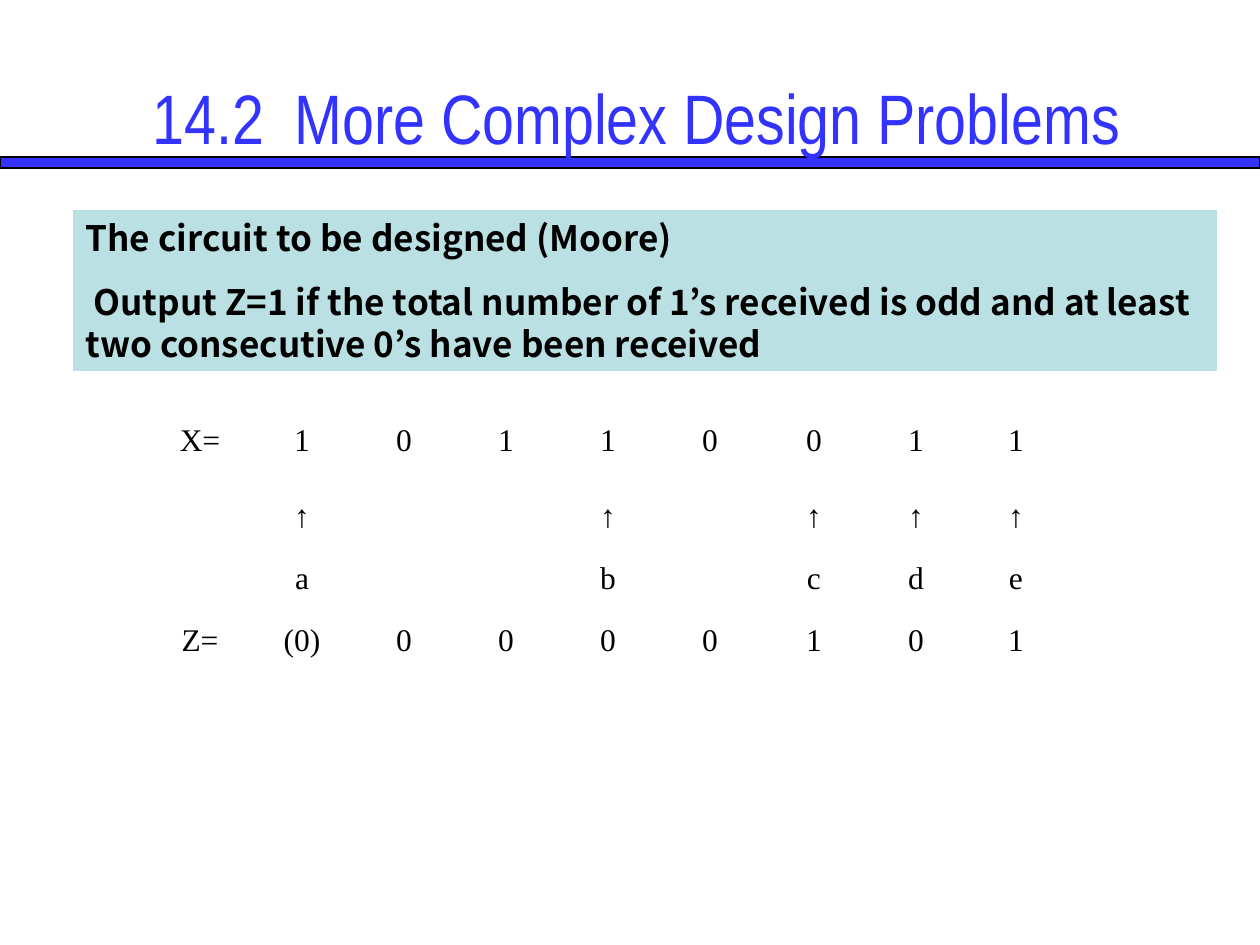
from pptx import Presentation
from pptx import util as u
from pptx.dml.color import RGBColor
from pptx.enum import shapes, text
from pptx.oxml.ns import qn
from lxml import etree

EMU_PER_PX = 914400 // 126
COLORS = {"blue": "3333FF", "black": "000000", "panel": "BBE0E3"}
ROWS = [
    (76, ["X=", "1", "0", "1", "1", "0", "0", "1", "1"]),
    (62, ["", "↑", "", "", "↑", "", "↑", "↑", "↑"]),
    (62, ["", "a", "", "", "b", "", "c", "d", "e"]),
    (64, ["Z=", "(0)", "0", "0", "0", "0", "1", "0", "1"]),
]
COLUMN_WIDTHS = [102] * 6 + [106, 98, 102]


def px(value):
    return u.Emu(value * EMU_PER_PX)


def color(name):
    return RGBColor.from_string(COLORS[name])


def add_tab_stops(paragraph):
    properties = paragraph._p.get_or_add_pPr()
    stops = etree.SubElement(properties, qn("a:tabLst"))
    for inch in range(8):
        etree.SubElement(stops, qn("a:tab"), pos=str(u.Inches(inch)), algn="l")


def add_run(paragraph, words, font, size, color_name, bold=False):
    run = paragraph.add_run()
    run.text = words
    run.font.name = font
    run.font.size = u.Pt(size)
    run.font.bold = bold
    run.font.color.rgb = color(color_name)


def add_rectangle(slide, box, fill, line=None):
    shape = slide.shapes.add_shape(shapes.MSO_SHAPE.RECTANGLE, *map(px, box))
    shape.shadow.inherit = False
    shape.fill.solid()
    shape.fill.fore_color.rgb = color(fill)
    if line:
        shape.line.color.rgb = color(line)
        shape.line.width = u.Pt(0.75)
    else:
        shape.line.fill.background()
    return shape


def add_title(slide, box, words):
    frame = slide.shapes.add_textbox(*map(px, box)).text_frame
    frame.word_wrap = True
    frame.vertical_anchor = text.MSO_ANCHOR.MIDDLE
    paragraph = frame.paragraphs[0]
    paragraph.alignment = text.PP_ALIGN.CENTER
    add_tab_stops(paragraph)
    add_run(paragraph, words, "Arial Narrow", 40, "blue")


def add_panel(slide, box, lines):
    frame = add_rectangle(slide, box, "panel").text_frame
    frame.word_wrap = True
    frame.auto_size = text.MSO_AUTO_SIZE.SHAPE_TO_FIT_TEXT
    frame.vertical_anchor = text.MSO_ANCHOR.TOP
    for index, words in enumerate(lines):
        paragraph = frame.add_paragraph() if index else frame.paragraphs[0]
        paragraph.alignment = text.PP_ALIGN.LEFT
        if index:
            paragraph.space_before = u.Pt(12.5)
        add_run(paragraph, words, "Noto Sans CJK KR", 20, "black", bold=True)


def add_sequence_table(slide, left, top):
    width, height = sum(COLUMN_WIDTHS), sum(row[0] for row in ROWS)
    table = slide.shapes.add_table(
        len(ROWS), len(COLUMN_WIDTHS), *map(px, (left, top, width, height))
    ).table
    table.first_row = False
    table.horz_banding = False
    for column, column_width in zip(table.columns, COLUMN_WIDTHS):
        column.width = px(column_width)
    for row, (row_height, entries) in zip(table.rows, ROWS):
        row.height = px(row_height)
        for cell, words in zip(row.cells, entries):
            cell.fill.background()
            paragraph = cell.text_frame.paragraphs[0]
            paragraph.alignment = text.PP_ALIGN.CENTER
            if words:
                add_run(paragraph, words, "Times New Roman", 18, "black")


def main():
    presentation = Presentation()
    presentation.slide_width = px(1260)
    presentation.slide_height = px(945)
    slide = presentation.slides.add_slide(presentation.slide_layouts[6])
    add_rectangle(slide, (0, 157, 1260, 11), "blue", "black")
    add_title(slide, (38, 38, 1197, 157), "14.2\t More Complex Design Problems")
    add_sequence_table(slide, 149, 417)
    add_panel(slide, (73, 210, 1144, 161), [
        "The circuit to be designed (Moore)",
        " Output Z=1 if the total number of 1’s received is odd "
        "and at least two consecutive 0’s have been received",
    ])
    presentation.save("out.pptx")


if __name__ == "__main__":
    main()
